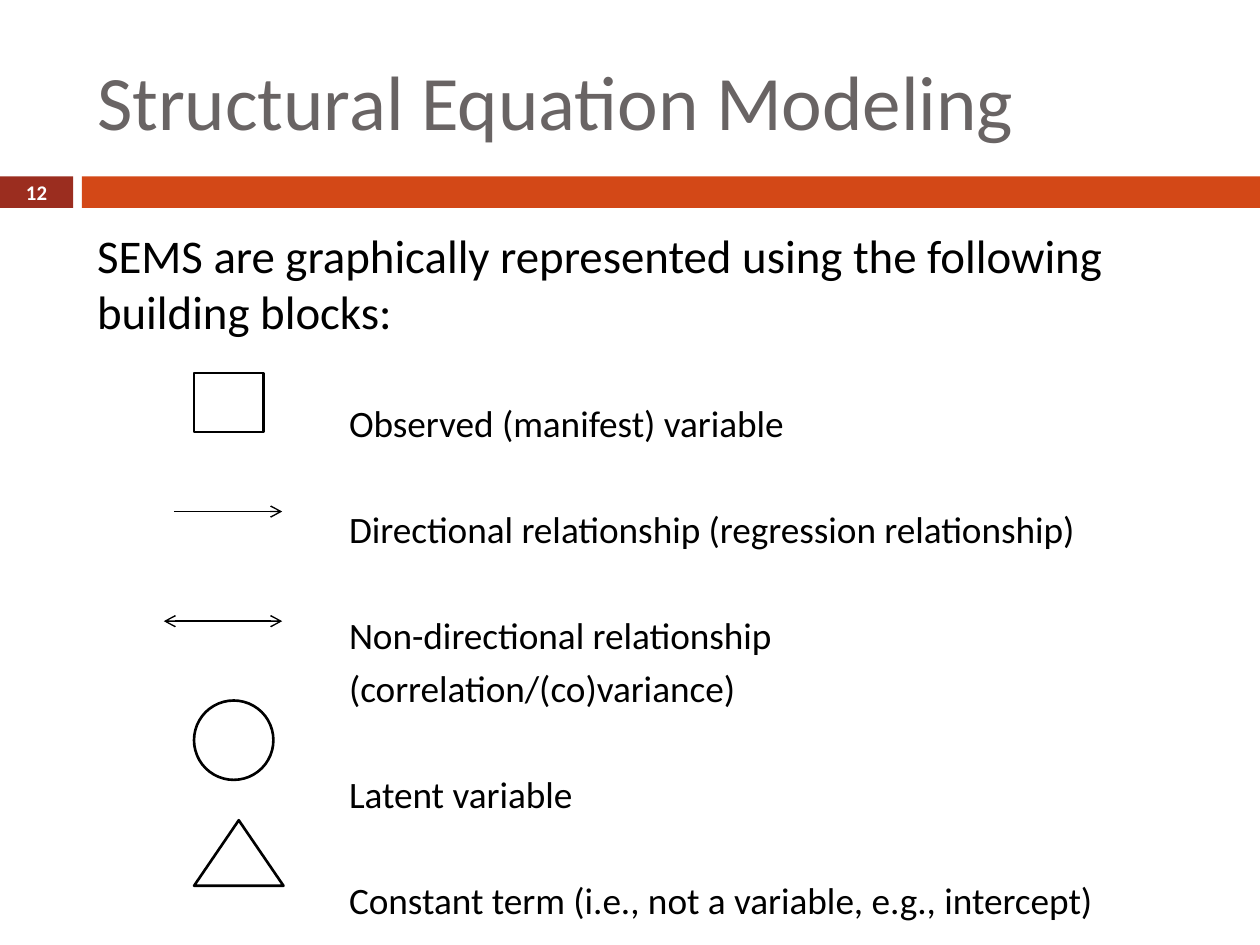
from dataclasses import dataclass
from lxml import etree
from pptx import Presentation
from pptx.dml.color import RGBColor
from pptx.enum.shapes import MSO_CONNECTOR, MSO_SHAPE
from pptx.enum.text import MSO_ANCHOR, MSO_AUTO_SIZE, PP_ALIGN
from pptx.oxml.ns import qn
from pptx.util import Inches, Pt

RECT, OVAL = MSO_SHAPE.RECTANGLE, MSO_SHAPE.OVAL
TRI = MSO_SHAPE.ISOSCELES_TRIANGLE
LINE = MSO_CONNECTOR.STRAIGHT
TOP, MID = MSO_ANCHOR.TOP, MSO_ANCHOR.MIDDLE
LEFT, MIDDLE = PP_ALIGN.LEFT, PP_ALIGN.CENTER
FIXED = MSO_AUTO_SIZE.NONE


@dataclass
class Theme:
    font: str = "Calibri"
    ink: str = "000000"
    paper: str = "FFFFFF"
    gray: str = "696464"
    dark: str = "9B2D1F"
    bright: str = "D34817"
    title: float = 44
    lead: float = 26.8
    label: float = 21.3
    number: float = 11.9


theme = Theme()


def write(para, text, size, color=theme.ink, bold=False, align=LEFT,
          before=0, indent=0):
    """Fill a paragraph with one run of plain, unbulleted text."""
    para.alignment = align
    para.space_before = Pt(before)
    props = para._p.get_or_add_pPr()
    props.set("marL", str(Inches(indent)))
    props.set("indent", "0")
    etree.SubElement(props, qn("a:buNone"))
    run = para.add_run()
    run.text = text
    run.font.name = theme.font
    run.font.size = Pt(size)
    run.font.bold = bold
    run.font.color.rgb = RGBColor.from_string(color)


def place(item, left, top, width, height, anchor):
    """Move a text holder and fix its frame."""
    item.left, item.top = Inches(left), Inches(top)
    item.width, item.height = Inches(width), Inches(height)
    frame = item.text_frame
    frame.word_wrap = True
    frame.auto_size = FIXED
    frame.vertical_anchor = anchor
    return frame


deck = Presentation()
deck.slide_width, deck.slide_height = Inches(10), Inches(7.5)
slide = deck.slides.add_slide(deck.slide_layouts[1])
shapes = slide.shapes

# Header bars
for left, width, color in [(0, 0.58, theme.dark), (0.65, 9.35, theme.bright)]:
    bar = shapes.add_shape(RECT, Inches(left), Inches(1.4),
                           Inches(width), Inches(0.25))
    bar.shadow.inherit = False
    bar.fill.solid()
    bar.fill.fore_color.rgb = RGBColor.from_string(color)
    bar.line.fill.background()

# Title
frame = place(shapes.title, 0.67, 0.25, 8.92, 1.08, MID)
write(frame.paragraphs[0], "Structural Equation Modeling", theme.title,
      color=theme.gray)

# Lead sentence and symbol labels, with the space before each label
frame = place(slide.placeholders[1], 0.67, 1.75, 8.92, 5.31, TOP)
write(frame.paragraphs[0],
      "SEMS are graphically represented using the following building blocks:",
      theme.lead)
wide, tight = 35, 4.5
labels = [
    ("Observed (manifest) variable", wide),
    ("Directional relationship (regression relationship)", wide),
    ("Non-directional relationship", wide),
    ("(correlation/(co)variance)", tight),
    ("Latent variable", wide),
    ("Constant term (i.e., not a variable, e.g., intercept)", wide),
]
for text, gap in labels:
    write(frame.add_paragraph(), text, theme.label, before=gap, indent=2)

# Variable symbols
symbols = [
    (RECT, 2.96, 0.55, 0.47),
    (OVAL, 5.56, 0.63, 0.63),
    (TRI, 6.51, 0.71, 0.52),
]
for kind, top, width, height in symbols:
    mark = shapes.add_shape(kind, Inches(1.54), Inches(top),
                            Inches(width), Inches(height))
    mark.shadow.inherit = False
    mark.fill.solid()
    mark.fill.fore_color.rgb = RGBColor.from_string(theme.paper)
    mark.line.color.rgb = RGBColor.from_string(theme.ink)
    mark.line.width = Pt(1.5)

# Relationship arrows
for left, top, ends in [(1.38, 4.06, ["tailEnd"]),
                        (1.3, 4.93, ["headEnd", "tailEnd"])]:
    arrow = shapes.add_connector(LINE, Inches(left), Inches(top),
                                 Inches(2.24), Inches(top))
    arrow.line.color.rgb = RGBColor.from_string(theme.ink)
    arrow.line.width = Pt(0.79)
    stroke = arrow.line._get_or_add_ln()
    for end in ends:
        etree.SubElement(stroke, qn("a:" + end), type="arrow")
    etree.SubElement(arrow._element.spPr, qn("a:effectLst"))

# Slide number
box = shapes.add_textbox(0, 0, 0, 0)
frame = place(box, 0, 1.39, 0.58, 0.27, MID)
write(frame.paragraphs[0], "12", theme.number, color=theme.paper,
      bold=True, align=MIDDLE)

deck.save("out.pptx")
